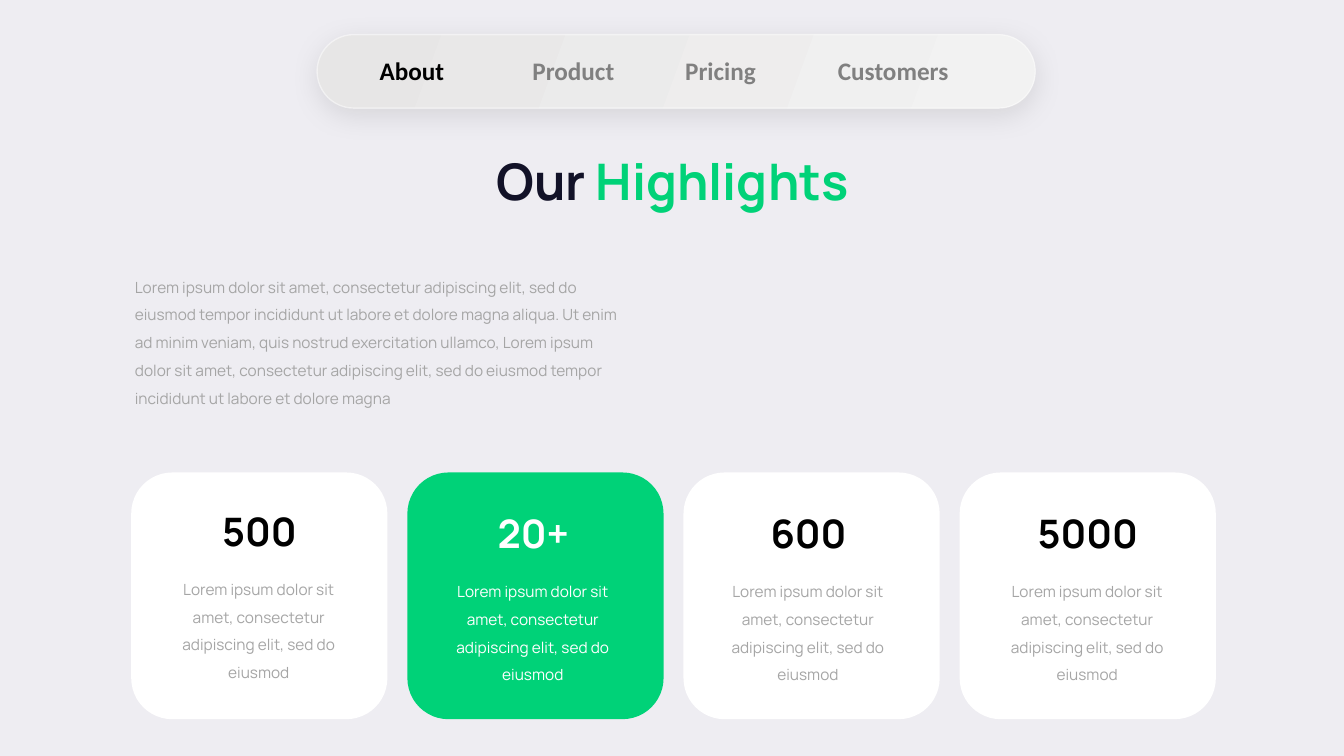
from dataclasses import dataclass

from lxml import etree
from pptx import Presentation
from pptx import util as u
from pptx.dml.color import RGBColor
from pptx.enum import shapes, text
from pptx.oxml import parse_xml
from pptx.oxml.ns import nsdecls, qn

EMU_PER_PX = 9525
NO_GRID_STYLE = "{2D5ABB26-0587-4C30-8999-92F81FD0307C}"

BACKDROP = RGBColor(0xEE, 0xED, 0xF2)
PILL_DARK = RGBColor(0xE7, 0xE6, 0xE6)
PILL_LIGHT = RGBColor(0xF2, 0xF2, 0xF2)
WHITE = RGBColor(0xFF, 0xFF, 0xFF)
BLACK = RGBColor(0x00, 0x00, 0x00)
NAVY = RGBColor(0x12, 0x12, 0x28)
GREEN = RGBColor(0x00, 0xD2, 0x78)
TAB_GREY = RGBColor(0x80, 0x80, 0x80)
BODY_GREY = RGBColor(0xA5, 0xA5, 0xA5)

TABS = ("About", "Product", "Pricing", "Customers")
CARD_TEXT = "Lorem ipsum dolor sit amet, consectetur adipiscing elit, sed do eiusmod"
INTRO = (
    "Lorem ipsum dolor sit amet, consectetur adipiscing elit, sed do eiusmod tempor "
    "incididunt ut labore et dolore magna aliqua. Ut enim ad minim veniam, quis nostrud "
    "exercitation ullamco, Lorem ipsum dolor sit amet, consectetur adipiscing elit, sed do "
    "eiusmod tempor incididunt ut labore et dolore magna"
)
CARD_LEFT, CARD_TOP, CARD_WIDTH, CARD_HEIGHT, CARD_PITCH = 125, 450, 244, 235, 263


@dataclass(frozen=True)
class Box:
    left: int
    top: int
    width: int
    height: int

    def emu(self) -> tuple[int, ...]:
        return tuple(px(n) for n in (self.left, self.top, self.width, self.height))


@dataclass(frozen=True)
class Span:
    words: str
    size: int
    color: RGBColor
    bold: bool = False
    font: str = "Manrope"


@dataclass(frozen=True)
class Card:
    figure: str
    shift_x: int = 0
    shift_y: int = 2
    fill: RGBColor = WHITE
    figure_color: RGBColor = BLACK
    body_color: RGBColor = BODY_GREY


CARDS = (
    Card("500", shift_y=0),
    Card("20+", shift_x=-2, fill=GREEN, figure_color=WHITE, body_color=WHITE),
    Card("600", shift_x=-3),
    Card("5000"),
)


def px(count: int) -> int:
    return u.Emu(count * EMU_PER_PX)


def write(para, spans: tuple[Span, ...]) -> None:
    for span in spans:
        run = para.add_run()
        run.text = span.words
        run.font.name = span.font
        run.font.size = u.Pt(span.size)
        run.font.bold = span.bold
        run.font.color.rgb = span.color


def add_text(page, box: Box, *spans: Span, centered: bool = True,
             spacing: float = 1.0, after: int = 0) -> None:
    frame = page.shapes.add_textbox(*box.emu()).text_frame
    frame.word_wrap = True
    frame.auto_size = text.MSO_AUTO_SIZE.SHAPE_TO_FIT_TEXT
    para = frame.paragraphs[0]
    para.alignment = text.PP_ALIGN.CENTER if centered else text.PP_ALIGN.LEFT
    para.line_spacing = spacing
    para.space_after = u.Pt(after)
    write(para, spans)


def add_rounded(page, box: Box):
    shape = page.shapes.add_shape(shapes.MSO_SHAPE.ROUNDED_RECTANGLE, *box.emu())
    shape.shadow.inherit = False
    return shape


def add_nav_pill(page) -> None:
    """Gradient capsule with a half-transparent rim and a soft shadow below."""
    pill = add_rounded(page, Box(302, 33, 684, 70))
    pill.adjustments[0] = 0.5
    pill.fill.gradient()
    pill.fill.gradient_angle = 340
    for stop, color in zip(pill.fill.gradient_stops, (PILL_DARK, PILL_LIGHT)):
        stop.color.rgb = color
    pill.line.color.rgb = WHITE
    pill.line.width = u.Pt(1)
    properties = pill._element.spPr
    rim = properties.find(qn("a:ln")).find(".//" + qn("a:srgbClr"))
    etree.SubElement(rim, qn("a:alpha"), val="50000")
    properties.find(qn("a:effectLst")).append(parse_xml(
        f'<a:outerShdw {nsdecls("a")} blurRad="{u.Pt(20)}" dist="{u.Pt(5)}" '
        'dir="5400000" algn="t" rotWithShape="0">'
        '<a:srgbClr val="000000"><a:alpha val="10000"/></a:srgbClr></a:outerShdw>'
    ))


def add_nav_tabs(page) -> None:
    frame = page.shapes.add_table(1, len(TABS), *Box(352, 49, 582, 39).emu())
    table = frame.table
    table.first_row = table.horz_banding = False
    frame._element.find(".//" + qn("a:tableStyleId")).text = NO_GRID_STYLE
    for cell, name in zip(table.rows[0].cells, TABS):
        cell.fill.background()
        color = BLACK if name == TABS[0] else TAB_GREY
        write(cell.text_frame.paragraphs[0], (Span(name, 18, color, True, "Calibri"),))


def add_card(page, index: int, card: Card) -> None:
    left = CARD_LEFT + index * CARD_PITCH
    panel = add_rounded(page, Box(left, CARD_TOP, CARD_WIDTH, CARD_HEIGHT))
    panel.fill.solid()
    panel.fill.fore_color.rgb = card.fill
    panel.line.fill.background()
    text_left, text_top = left + card.shift_x, CARD_TOP + card.shift_y
    add_text(page, Box(text_left + 20, text_top + 89, 203, 114),
             Span(CARD_TEXT, 11, card.body_color), spacing=1.5, after=12)
    add_text(page, Box(text_left, text_top + 28, CARD_WIDTH, 55),
             Span(card.figure, 28, card.figure_color, True))


def main() -> None:
    deck = Presentation()
    deck.slide_width, deck.slide_height = px(1280), px(720)
    page = deck.slides.add_slide(deck.slide_layouts[6])
    page.background.fill.solid()
    page.background.fill.fore_color.rgb = BACKDROP

    add_nav_pill(page)
    add_nav_tabs(page)
    add_text(page, Box(360, 138, 561, 68),
             Span("Our ", 36, NAVY, True), Span("Highlights", 36, GREEN, True))
    for index, card in enumerate(CARDS):
        add_card(page, index, card)
    add_text(page, Box(119, 251, 490, 140), Span(INTRO, 11, BODY_GREY),
             centered=False, spacing=1.5)
    deck.save("out.pptx")


if __name__ == "__main__":
    main()
